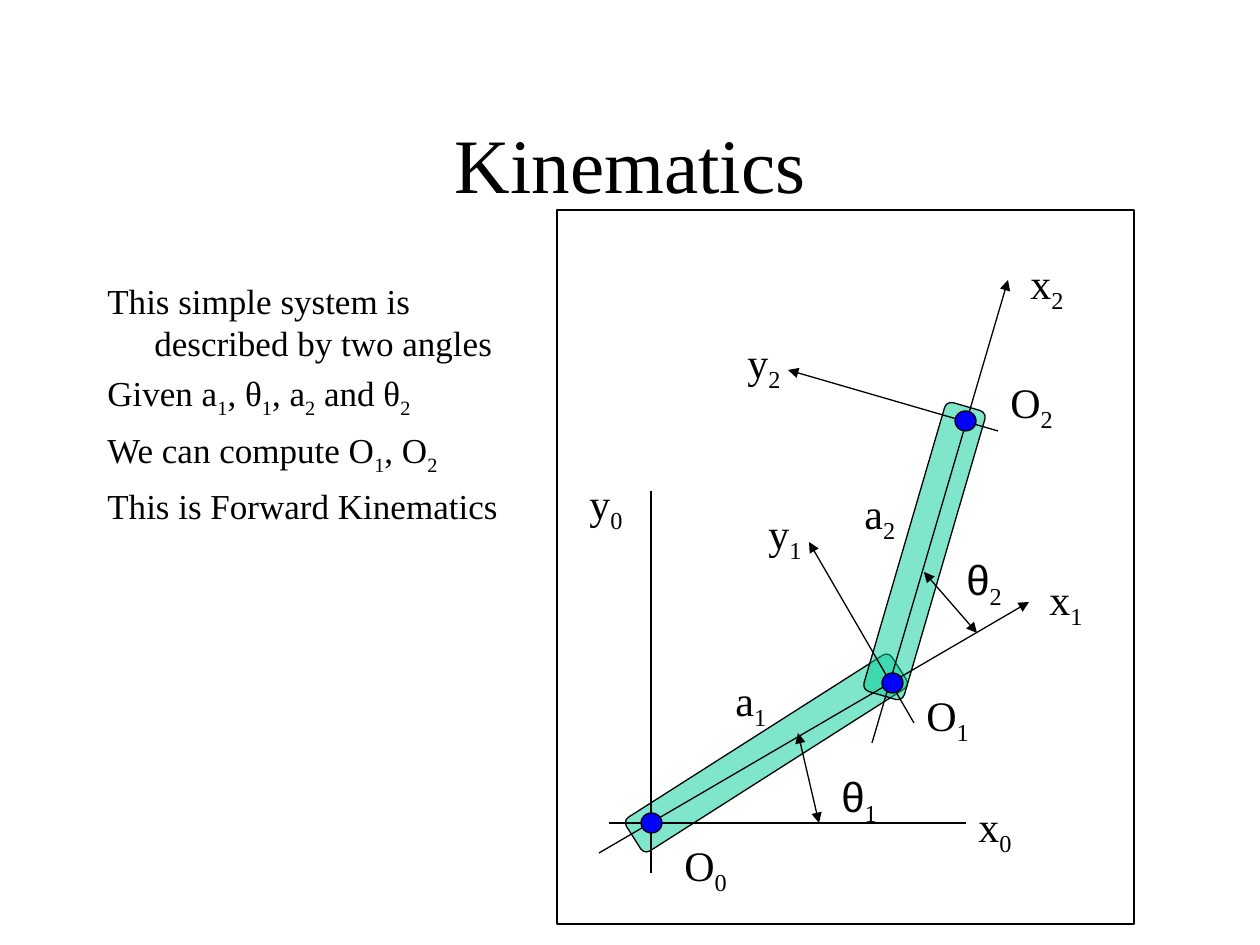
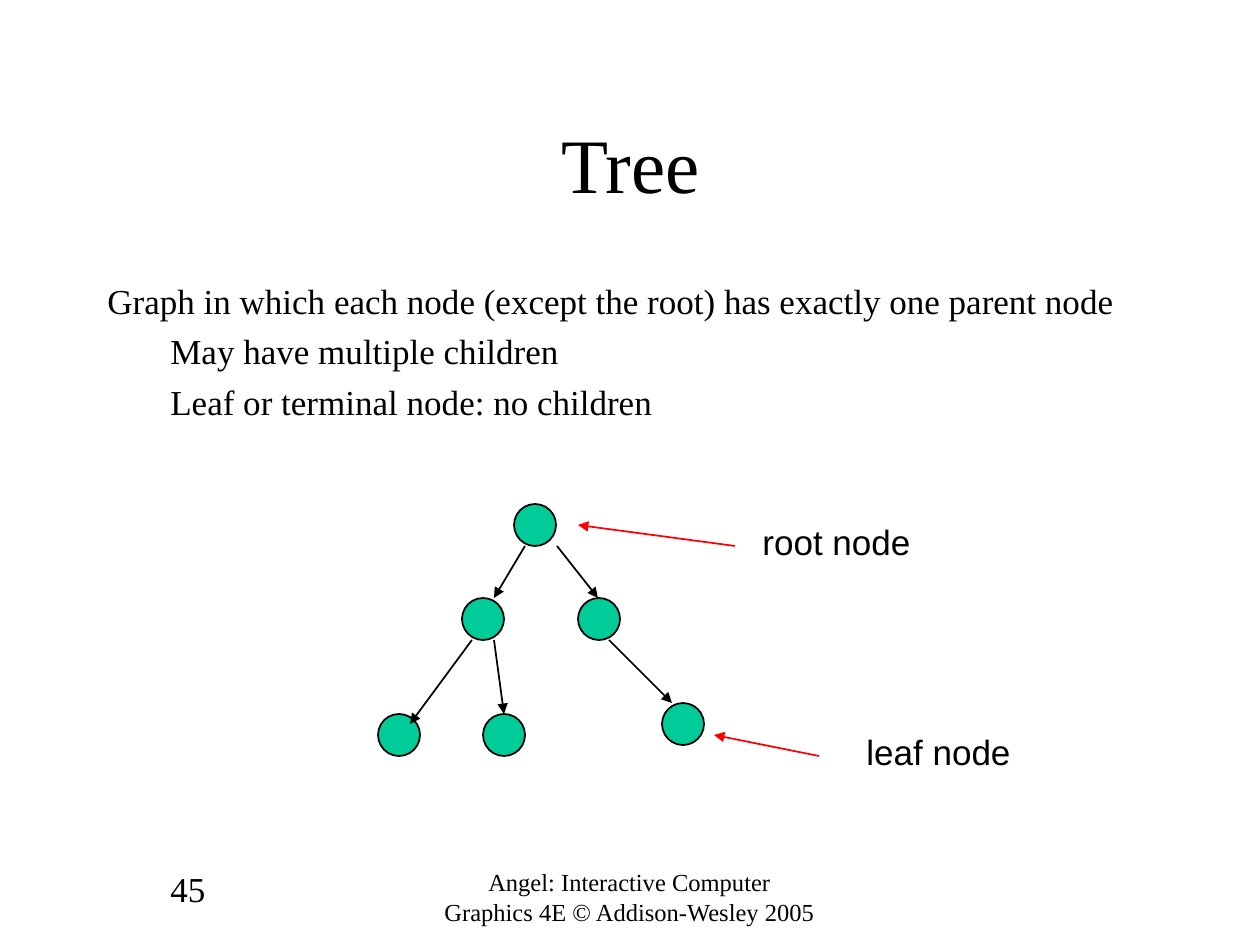
"""Builds two slides on kinematics and trees."""
from typing import NamedTuple

from lxml.etree import SubElement
from pptx import Presentation
from pptx.dml.color import RGBColor as Rgb
from pptx.enum.shapes import MSO_CONNECTOR as Link, MSO_SHAPE as Form
from pptx.enum.text import MSO_ANCHOR as Anchor, MSO_AUTO_SIZE as Fit, PP_ALIGN as Align
from pptx.oxml.ns import qn
from pptx.util import Emu, Pt

SCALE = 914400 / 126
HUES = {"ink": "000000", "paper": "FFFFFF", "green": "00CC99", "blue": "0000FF", "red": "FF0000"}
SERIF, SANS = "Times New Roman", "Arial"


class Box(NamedTuple):
    x: int
    y: int
    w: int
    h: int


class Bar(NamedTuple):
    box: Box
    turn: float


class Line(NamedTuple):
    x1: int
    y1: int
    x2: int
    y2: int
    ends: str = "tail"
    hue: str = "ink"


class Label(NamedTuple):
    text: str
    box: Box
    font: str = SERIF


class Para(NamedTuple):
    text: str
    level: int = 0


def px(size: float) -> Emu:
    return Emu(round(size * SCALE))


def tint(name: str) -> Rgb:
    return Rgb.from_string(HUES[name])


def write(frame, paras: list[Para], *, size: int, font: str = SERIF, align=Align.LEFT,
          anchor=Anchor.TOP, wrap: bool = True, gap: int = 0, dents=((0, 0),)) -> None:
    frame.auto_size = Fit.NONE
    frame.word_wrap = wrap
    frame.vertical_anchor = anchor
    for i, para in enumerate(paras):
        p = frame.paragraphs[0] if i == 0 else frame.add_paragraph()
        p.alignment, p.level = align, para.level
        p.space_before = Pt(gap if i else 0)
        margin, indent = dents[para.level]
        props = p._p.get_or_add_pPr()
        props.set("marL", str(px(margin)))
        props.set("indent", str(px(indent)))
        first, *rest = para.text.split("_")
        parts = [(first, False)]
        for piece in rest:
            parts += [(piece[0], True), (piece[1:], False)]
        for text, low in parts:
            if text:
                run = p.add_run()
                run.text = text
                run.font.size = Pt(size)
                run.font.name = SERIF if low else font
                run.font.color.rgb = tint("ink")
                if low:
                    run._r.get_or_add_rPr().set("baseline", "-25000")


def put_text(shapes, box: Box, paras: list[Para], **style) -> None:
    write(shapes.add_textbox(*map(px, box)).text_frame, paras, **style)


def put_label(shapes, label: Label, size: int) -> None:
    put_text(shapes, label.box, [Para(label.text)], size=size, font=label.font, wrap=False)


def put_shape(shapes, form: Form, box: Box, hue: str, *, width: float = 0.75,
              turn: float = 0, alpha: int = 100) -> None:
    shape = shapes.add_shape(form, *map(px, box))
    shape.shadow.inherit = False
    shape.rotation = turn
    shape.fill.solid()
    shape.fill.fore_color.rgb = tint(hue)
    if alpha < 100:
        fill = shape._element.spPr.find(qn("a:solidFill"))
        SubElement(fill[0], qn("a:alpha"), val=str(alpha * 1000))
    shape.line.color.rgb = tint("ink")
    shape.line.width = Pt(width)


def put_line(shapes, line: Line, width: float = 0.75) -> None:
    wire = shapes.add_connector(Link.STRAIGHT, *map(px, line[:4]))
    wire.line.color.rgb = tint(line.hue)
    wire.line.width = Pt(width)
    for end in line.ends.split():
        SubElement(wire.line._get_or_add_ln(), qn(f"a:{end}End"), type="triangle")
    SubElement(wire._element.spPr, qn("a:effectLst"))


def add_page(deck, title: str, body: Box, paras: list[Para]):
    slide = deck.slides.add_slide(deck.slide_layouts[5])
    head = slide.shapes.title
    head.left, head.top, head.width, head.height = map(px, Box(95, 84, 1071, 158))
    write(head.text_frame, [Para(title)], size=44, align=Align.CENTER, anchor=Anchor.MIDDLE)
    put_text(slide.shapes, body, paras, size=20, gap=5, dents=((47, -47), (102, -39)))
    return slide.shapes


def draw_arm(deck) -> None:
    shapes = add_page(deck, "Kinematics", Box(95, 273, 441, 620), [
        Para("This simple system is described by two angles"),
        Para("Given a_1, θ_1, a_2 and θ_2"),
        Para("We can compute O_1, O_2"),
        Para("This is Forward Kinematics"),
    ])
    group = shapes.add_group_shape().shapes
    put_shape(group, Form.RECTANGLE, Box(557, 210, 577, 714), "paper")
    parts = [
        Bar(Box(609, 733, 315, 40), 327.5),
        Line(651, 491, 651, 873, ""),
        Line(609, 823, 966, 823, ""),
        Bar(Box(774, 530, 301, 42), 286.3),
        Line(599, 853, 1029, 602),
        Line(914, 723, 809, 542),
        Line(872, 743, 1008, 280),
        Line(998, 431, 788, 370),
        Line(798, 733, 819, 823, "head tail"),
        Line(924, 572, 977, 633, "head tail"),
    ]
    for part in parts:
        if isinstance(part, Bar):
            put_shape(group, Form.ROUNDED_RECTANGLE, part.box, "green", turn=part.turn, alpha=50)
        else:
            put_line(group, part)
    for x, y in [(641, 813), (882, 673), (955, 411)]:
        put_shape(group, Form.OVAL, Box(x, y, 21, 20), "blue")
    spots = {
        "θ": (SANS, 62, {2: (954, 547), 1: (829, 764)}),
        "a": (SERIF, 55, {1: (723, 668), 2: (852, 481)}),
        "O": (SERIF, 69, {0: (672, 833), 1: (914, 683), 2: (998, 370)}),
        "x": (SERIF, 60, {0: (966, 794), 1: (1037, 567), 2: (1018, 251)}),
        "y": (SERIF, 60, {0: (577, 471), 1: (756, 501), 2: (735, 330)}),
    }
    for name, (font, width, places) in spots.items():
        for index, (x, y) in places.items():
            put_label(group, Label(f"{name}_{index}", Box(x, y, width, 71), font), 24)


def draw_tree(deck) -> None:
    shapes = add_page(deck, "Tree", Box(95, 273, 1071, 567), [
        Para("Graph in which each node (except the root) has exactly one parent node"),
        Para("May have multiple children", 1),
        Para("Leaf or terminal node: no children", 1),
    ])
    put_text(shapes, Box(95, 861, 262, 63), [Para("45")], size=20, dents=((63, 0),))
    put_text(shapes, Box(430, 861, 399, 63),
             [Para("Angel: Interactive Computer Graphics 4E © Addison-Wesley 2005")],
             size=14, align=Align.CENTER)
    for x, y in [(514, 504), (462, 598), (578, 598), (378, 714), (483, 714), (662, 703)]:
        put_shape(shapes, Form.OVAL, Box(x, y, 42, 42), "green", width=1)
    lines = [
        Line(525, 546, 494, 598),
        Line(472, 640, 410, 724),
        Line(494, 640, 504, 714),
        Line(557, 546, 598, 598),
        Line(609, 640, 672, 703),
        Line(735, 546, 578, 525, hue="red"),
        Line(819, 756, 714, 735, hue="red"),
    ]
    for line in lines:
        put_line(shapes, line, 1)
    put_label(shapes, Label("root node", Box(750, 514, 173, 55), SANS), 20)
    put_label(shapes, Label("leaf node", Box(854, 724, 169, 55), SANS), 20)


def main() -> None:
    deck = Presentation()
    deck.slide_width, deck.slide_height = px(1260), px(945)
    draw_arm(deck)
    draw_tree(deck)
    deck.save("out.pptx")


if __name__ == "__main__":
    main()
